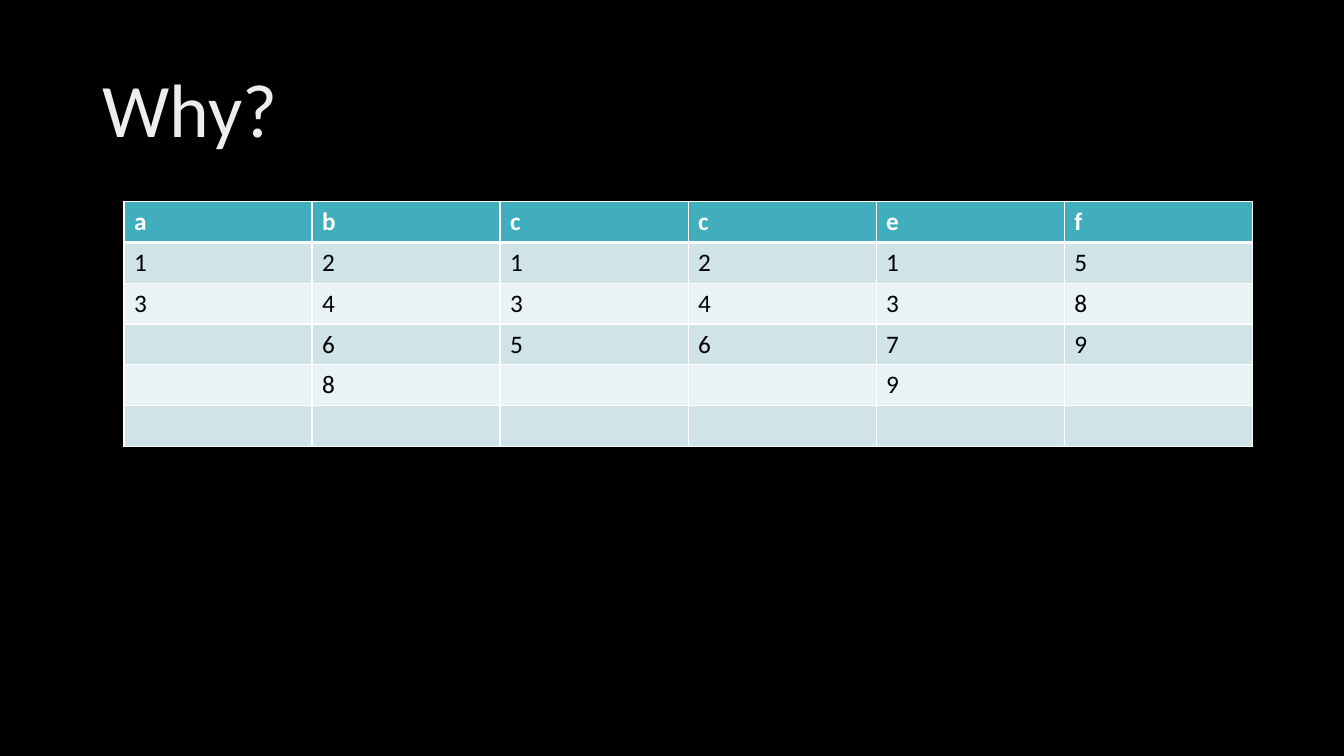
import dataclasses

import lxml.etree
import pptx
import pptx.dml.color
import pptx.enum.text
import pptx.oxml
import pptx.oxml.ns
import pptx.util

Inches = pptx.util.Inches
Pt = pptx.util.Pt


@dataclasses.dataclass(frozen=True)
class Theme:
    """Colours, font and type sizes of the slide."""
    font: str = "Calibri"
    title_size: int = 54
    table_size: int = 18
    background: str = "000000"
    title_stops: tuple = ((0, "BFBFBF"), (28, "EDEDED"), (100, "FFFFFF"))
    title_angle: int = 80
    header_fill: str = "41AEBD"
    header_text: str = "FFFFFF"
    band_fills: tuple = ("CFE3E8", "E9F2F4")
    body_text: str = "000000"
    border: str = "FFFFFF"
    thin: int = 1
    thick: int = 3


def rgb(colour):
    """Turn a hex string into a colour."""
    return pptx.dml.color.RGBColor.from_string(colour)


def add_element(parent, tag, **attributes):
    """Append a drawing element and return it."""
    return lxml.etree.SubElement(parent, pptx.oxml.ns.qn(tag), attributes)


class SlideBuilder:
    """Holds the theme and the current slide."""

    def __init__(self, page, theme):
        """Paint the page background."""
        self.page, self.theme = page, theme
        fill = page.background.fill
        fill.solid()
        fill.fore_color.rgb = rgb(theme.background)

    def style(self, paragraph, size, bold=False):
        """Set the font of a paragraph."""
        font = paragraph.font
        font.name, font.size, font.bold = self.theme.font, Pt(size), bold

    def title(self, text, left, top, width, height):
        """Add the title with its gradient letters."""
        box = self.page.shapes.add_textbox(left, top, width, height)
        frame = box.text_frame
        frame.word_wrap = True
        frame.vertical_anchor = pptx.enum.text.MSO_ANCHOR.MIDDLE
        paragraph = frame.paragraphs[0]
        paragraph.line_spacing = 0.9
        self.style(paragraph, self.theme.title_size)
        span = paragraph.add_run()
        span.text = text
        gradient = add_element(span.font._element, "a:gradFill")
        stops = add_element(gradient, "a:gsLst")
        for position, colour in self.theme.title_stops:
            stop = add_element(stops, "a:gs", pos=str(position * 1000))
            add_element(stop, "a:srgbClr", val=colour)
        add_element(gradient, "a:lin", ang=str(self.theme.title_angle * 60000), scaled="0")

    def borders(self, cell, row):
        """Draw the cell borders, thick below the header."""
        theme = self.theme
        widths = {"L": theme.thin, "R": theme.thin,
                  "T": theme.thick if row == 1 else theme.thin,
                  "B": theme.thick if row == 0 else theme.thin}
        properties = cell._tc.get_or_add_tcPr()
        for side, width in widths.items():
            line = add_element(properties, f"a:ln{side}", w=str(Pt(width)))
            add_element(add_element(line, "a:solidFill"), "a:srgbClr", val=theme.border)

    def cell(self, cell, text, row):
        """Write and colour one table cell."""
        theme = self.theme
        header = row == 0
        self.borders(cell, row)
        cell.fill.solid()
        cell.fill.fore_color.rgb = rgb(
            theme.header_fill if header else theme.band_fills[(row - 1) % 2])
        cell.text = text
        paragraph = cell.text_frame.paragraphs[0]
        self.style(paragraph, theme.table_size, header)
        paragraph.font.color.rgb = rgb(theme.header_text if header else theme.body_text)

    def table(self, rows, left, top, width, height):
        """Add a table of equal columns and rows."""
        frame = self.page.shapes.add_table(
            len(rows), len(rows[0]), left, top, width, height)
        for row, values in enumerate(rows):
            for column, text in enumerate(values):
                self.cell(frame.table.cell(row, column), text, row)


def main():
    """Build and save the slide."""
    deck = pptx.Presentation()
    deck.slide_width, deck.slide_height = Inches(13.33), Inches(7.5)
    page = deck.slides.add_slide(deck.slide_layouts[6])
    builder = SlideBuilder(page, Theme())
    builder.title("Why?", Inches(0.92), Inches(0.4), Inches(11.5), Inches(1.45))
    rows = [
        ("a", "b", "c", "c", "e", "f"),
        ("1", "2", "1", "2", "1", "5"),
        ("3", "4", "3", "4", "3", "8"),
        ("", "6", "5", "6", "7", "9"),
        ("", "8", "", "", "9", ""),
        ("", "", "", "", "", ""),
    ]
    builder.table(rows, Inches(1.23), Inches(2), Inches(11.19), Inches(2.43))
    deck.save("out.pptx")


main()
